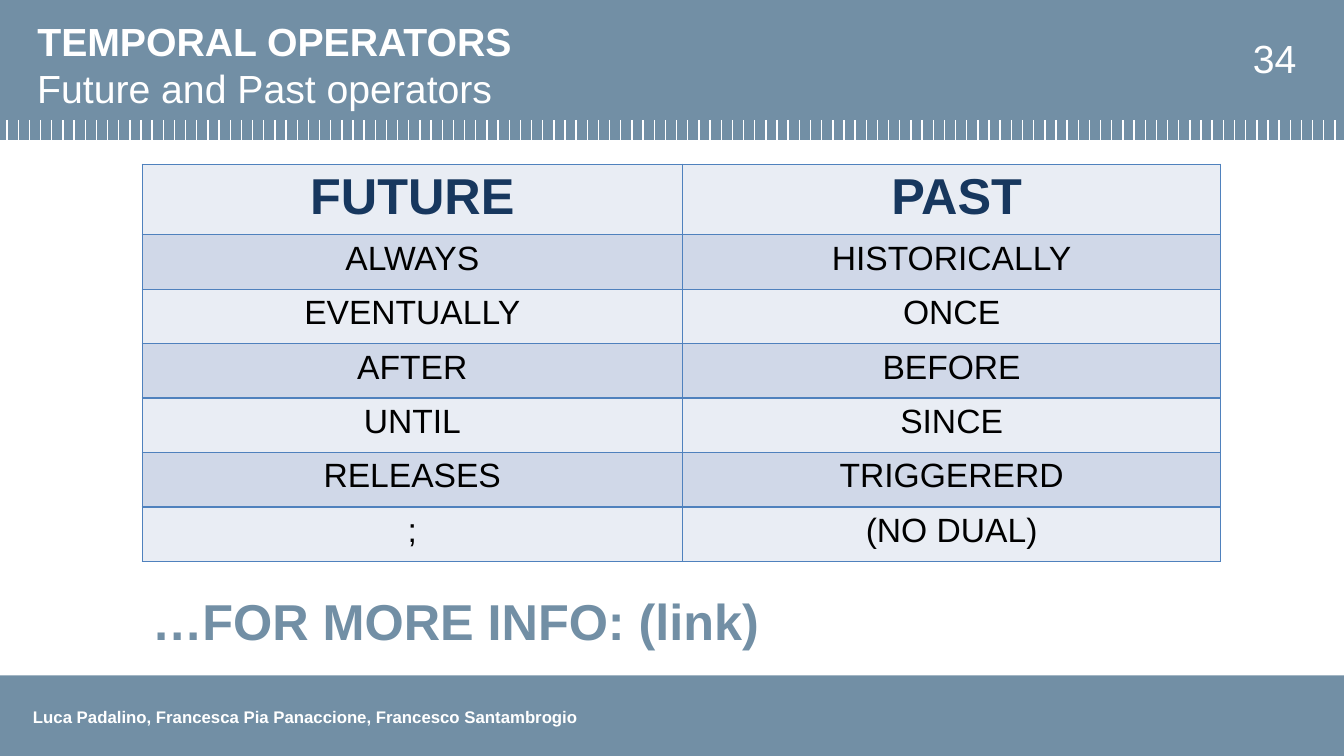
from lxml import etree
from pptx import Presentation
from pptx.dml.color import RGBColor
from pptx.enum import shapes, text
from pptx.oxml import ns
from pptx.util import Pt

STEEL = RGBColor(0x72, 0x8F, 0xA5)
WHITE = RGBColor(0xFF, 0xFF, 0xFF)
BLACK = RGBColor(0x00, 0x00, 0x00)
NAVY = RGBColor(0x17, 0x37, 0x5E)
BORDER = RGBColor(0x4F, 0x81, 0xBD)
BANDS = (RGBColor(0xE9, 0xED, 0xF4), RGBColor(0xD0, 0xD8, 0xE8))

WIDTH, HEIGHT = 960, 540
HEADER_BOTTOM = 100

OPERATORS = [
    ("FUTURE", "PAST"),
    ("ALWAYS", "HISTORICALLY"),
    ("EVENTUALLY", "ONCE"),
    ("AFTER", "BEFORE"),
    ("UNTIL", "SINCE"),
    ("RELEASES", "TRIGGERERD"),
    (";", "(NO DUAL)"),
]


class SlideBuilder:
    """Adds styled elements to one slide; all lengths are in points."""

    font_name = "Arial"

    def __init__(self, slide):
        self.slide = slide

    def style(self, paragraph, size, color, bold=False):
        font = paragraph.font
        font.name, font.size, font.bold = self.font_name, Pt(size), bold
        font.color.rgb = color

    def band(self, top, height):
        shape = self.slide.shapes.add_shape(
            shapes.MSO_SHAPE.RECTANGLE, 0, Pt(top), Pt(WIDTH), Pt(height))
        shape.shadow.inherit = False
        shape.fill.solid()
        shape.fill.fore_color.rgb = STEEL
        shape.line.fill.background()

    def ticks(self, first, pitch, count, top, bottom):
        group = self.slide.shapes.add_group_shape()
        for index in range(count):
            x = Pt(first + index * pitch)
            tick = group.shapes.add_connector(
                shapes.MSO_CONNECTOR.STRAIGHT, x, Pt(top), x, Pt(bottom))
            tick.line.color.rgb = WHITE
            tick.line.width = Pt(1)
            etree.SubElement(tick._element.spPr, ns.qn("a:effectLst"))

    def title(self, words, left, top, width, height, size, color):
        title = self.slide.shapes.title
        title.left, title.top = Pt(left), Pt(top)
        title.width, title.height = Pt(width), Pt(height)
        frame = title.text_frame
        frame.text = words
        frame.vertical_anchor = text.MSO_ANCHOR.TOP
        paragraph = frame.paragraphs[0]
        paragraph.alignment = text.PP_ALIGN.LEFT
        self.style(paragraph, size, color, bold=True)
        # Bring the title in front of the header band
        self.slide.shapes._spTree.append(title._element)

    def text_box(self, words, left, top, width, height, size, color,
                 bold=False, wrap=True):
        box = self.slide.shapes.add_textbox(
            Pt(left), Pt(top), Pt(width), Pt(height))
        frame = box.text_frame
        frame.word_wrap = wrap
        frame.auto_size = text.MSO_AUTO_SIZE.SHAPE_TO_FIT_TEXT
        frame.text = words
        self.style(frame.paragraphs[0], size, color, bold)

    def table(self, rows, left, top, column_widths, row_heights):
        table = self.slide.shapes.add_table(
            len(rows), len(column_widths), Pt(left), Pt(top),
            Pt(sum(column_widths)), Pt(sum(row_heights))).table
        table.first_row = table.horz_banding = False
        for column, width in zip(table.columns, column_widths):
            column.width = Pt(width)
        for index, (row, height) in enumerate(zip(table.rows, row_heights)):
            row.height = Pt(height)
            for cell, words in zip(row.cells, rows[index]):
                cell.text = words
                cell.fill.solid()
                cell.fill.fore_color.rgb = BANDS[index % 2]
                self.cell_borders(cell)
                paragraph = cell.text_frame.paragraphs[0]
                paragraph.alignment = text.PP_ALIGN.CENTER
                if index == 0:
                    self.style(paragraph, 36, NAVY, bold=True)
                else:
                    self.style(paragraph, 24, BLACK)
        return table

    def cell_borders(self, cell):
        properties = cell._tc.get_or_add_tcPr()
        for position, side in enumerate(("lnL", "lnR", "lnT", "lnB")):
            line = etree.Element(ns.qn("a:" + side), w=str(Pt(1)))
            fill = etree.SubElement(line, ns.qn("a:solidFill"))
            etree.SubElement(fill, ns.qn("a:srgbClr"), val=str(BORDER))
            properties.insert(position, line)


def main():
    presentation = Presentation()
    presentation.slide_width, presentation.slide_height = Pt(WIDTH), Pt(HEIGHT)
    slide = presentation.slides.add_slide(presentation.slide_layouts[5])
    builder = SlideBuilder(slide)

    # Header and footer bands
    builder.band(0, HEADER_BOTTOM)
    builder.band(482.4, HEIGHT - 482.4)
    builder.text_box(
        "Luca Padalino, Francesca Pia Panaccione, Francesco Santambrogio",
        16.5, 501, 407.5, 21.8, 12, WHITE, bold=True, wrap=False)
    builder.ticks(5.1, 7.97, 120, 85.7, HEADER_BOTTOM)

    # Table of operators
    table = builder.table(OPERATORS, 101.5, 117.2, (386, 384.5),
                          [50] + [38.9] * 6)
    table.cell(0, 1).margin_left = Pt(14.4)

    # Title, subtitle and page number
    builder.text_box("34", 887.8, 21, 52.5, 41.2, 28, WHITE)
    builder.title("TEMPORAL OPERATORS", 19.5, 8.6, 585, 91.4, 28, WHITE)
    builder.text_box("Future and Past operators", 19.5, 42.5, 348, 41.2,
                     28, WHITE)

    # Closing pointer
    builder.text_box("…FOR MORE INFO: (link)", 101.5, 418.3, 497, 50.9,
                     36, STEEL, bold=True)

    presentation.save("out.pptx")


if __name__ == "__main__":
    main()
